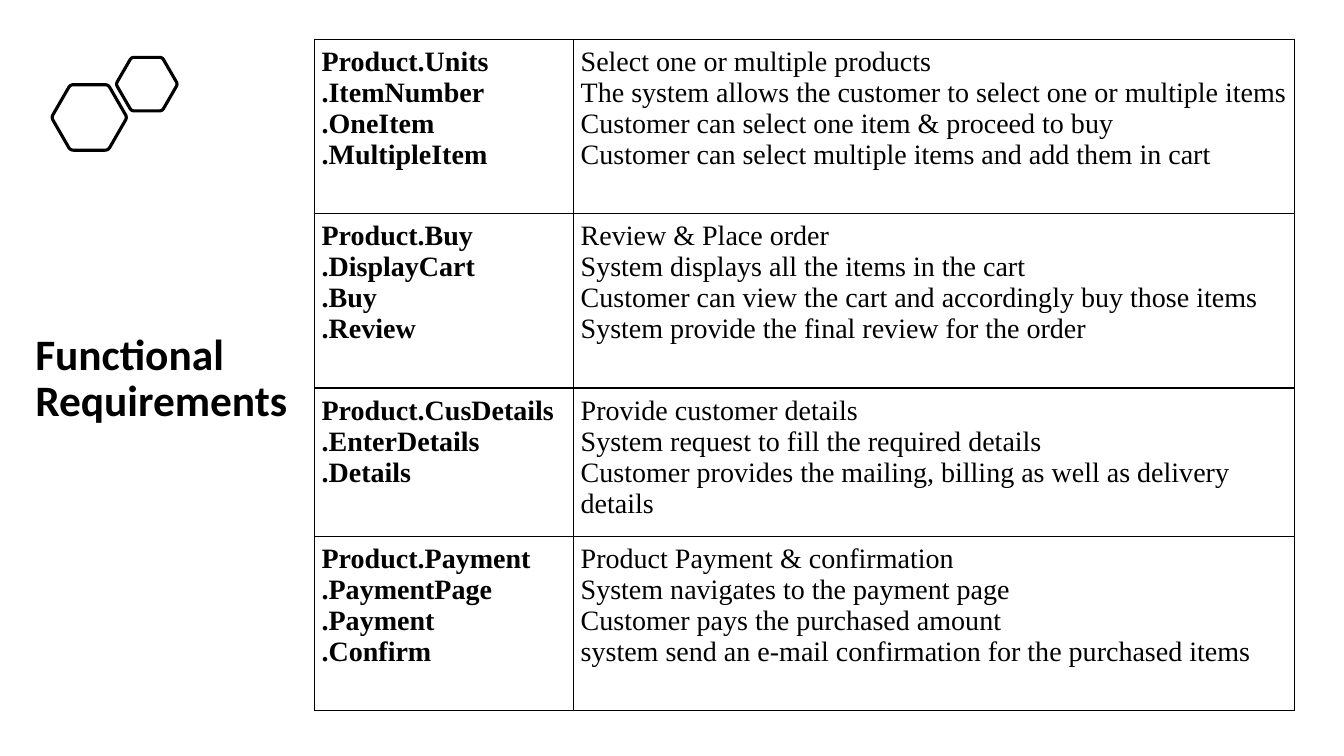
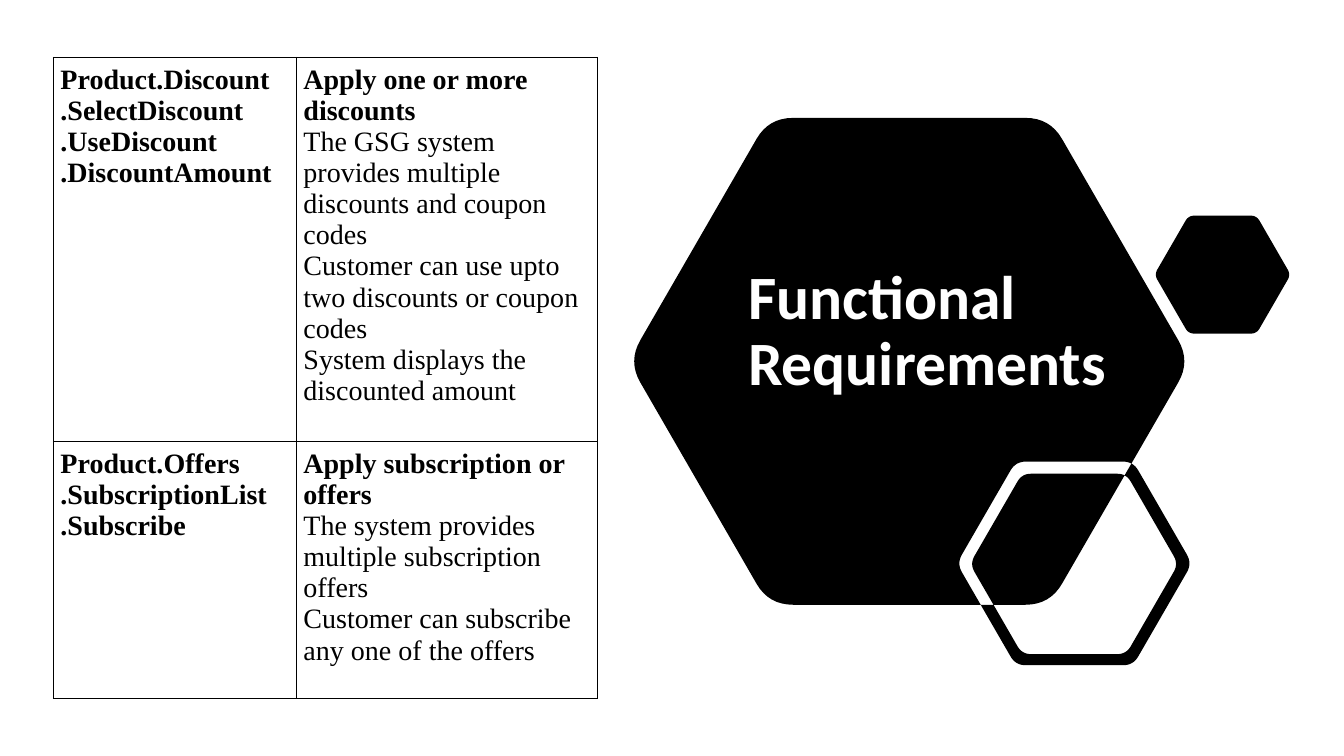
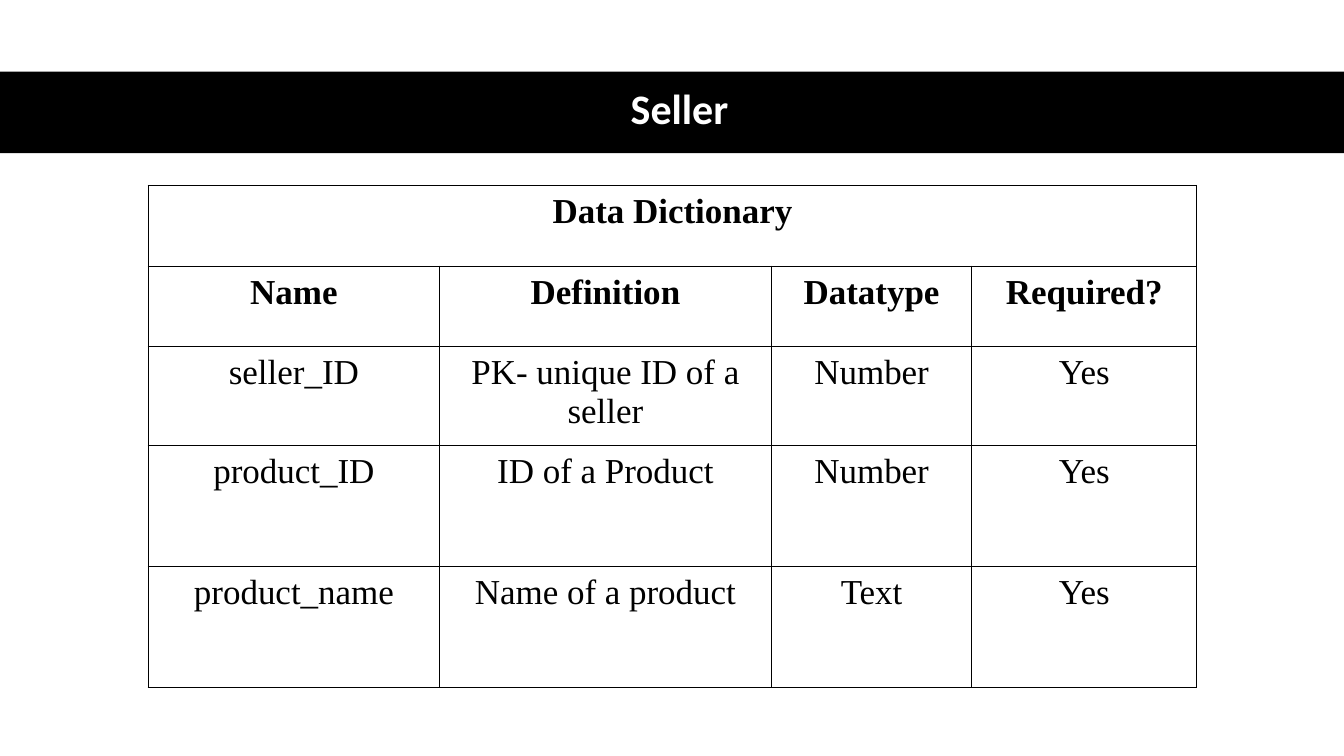
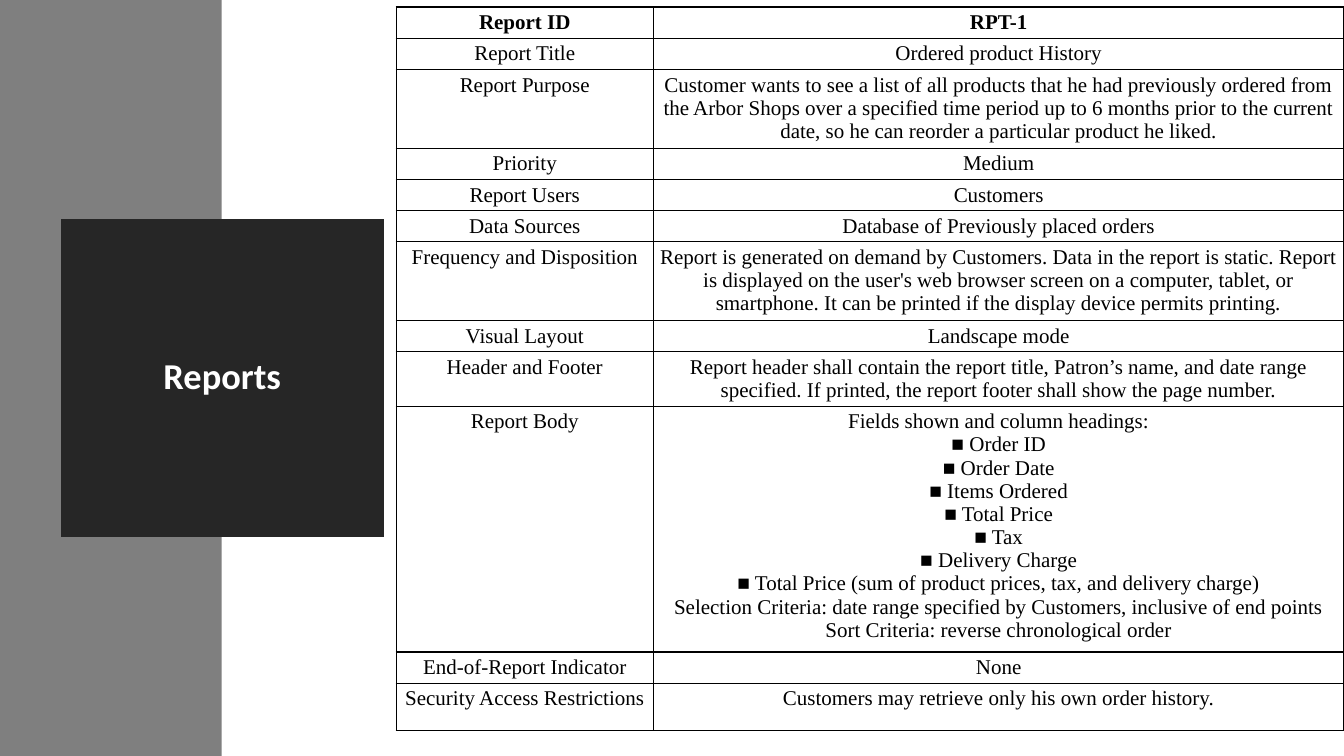
from math import sqrt

from lxml.etree import SubElement
from pptx import Presentation
from pptx.dml.color import RGBColor
from pptx.enum.shapes import MSO_SHAPE
from pptx.enum.text import MSO_ANCHOR as Anchor, MSO_AUTO_SIZE as AutoSize, PP_ALIGN as Align
from pptx.oxml.ns import qn
from pptx.util import Inches, Pt

COLORS = {"ink": "000000", "paper": "FFFFFF", "band": "7F7F7F", "panel": "262626"}
TITLE_FONT = "Calibri"
TABLE_FONT = "Times New Roman"

UNITS_TO_PAYMENT = [
    ["Product.Units\n.ItemNumber\n.OneItem\n.MultipleItem",
     "Select one or multiple products\n"
     "The system allows the customer to select one or multiple items\n"
     "Customer can select one item & proceed to buy\n"
     "Customer can select multiple items and add them in cart"],
    ["Product.Buy\n.DisplayCart\n.Buy\n.Review",
     "Review & Place order\n"
     "System displays all the items in the cart\n"
     "Customer can view the cart and accordingly buy those items\n"
     "System provide the final review for the order"],
    ["Product.CusDetails\n.EnterDetails\n.Details",
     "Provide customer details\n"
     "System request to fill the required details\n"
     "Customer provides the mailing, billing as well as delivery details"],
    ["Product.Payment\n.PaymentPage\n.Payment\n.Confirm",
     "Product Payment & confirmation\n"
     "System navigates to the payment page\n"
     "Customer pays the purchased amount\n"
     "system send an e-mail confirmation for the purchased items"],
]

DISCOUNTS_AND_OFFERS = [
    ["Product.Discount\n.SelectDiscount\n.UseDiscount\n.DiscountAmount",
     "Apply one or more discounts\n"
     "The GSG system provides multiple discounts and coupon codes\n"
     "Customer can use upto two discounts or coupon codes\n"
     "System displays the discounted amount"],
    ["Product.Offers\n.SubscriptionList\n.Subscribe",
     "Apply subscription or offers\n"
     "The system provides multiple subscription offers\n"
     "Customer can subscribe any one of the offers"],
]

SELLER_DICTIONARY = [
    ["Data Dictionary"],
    ["Name", "Definition", "Datatype", "Required?"],
    ["seller_ID", "PK- unique ID of a seller", "Number", "Yes"],
    ["product_ID", "ID of a Product", "Number", "Yes"],
    ["product_name", "Name of a product", "Text", "Yes"],
]

ORDER_REPORT = [
    ["Report ID", "RPT-1"],
    ["Report Title", "Ordered product History"],
    ["Report Purpose",
     "Customer wants to see a list of all products that he had previously ordered from "
     "the Arbor Shops over a specified time period up to 6 months prior to the current "
     "date, so he can reorder a particular product he liked."],
    ["Priority", "Medium"],
    ["Report Users", "Customers"],
    ["Data Sources", "Database of Previously placed orders"],
    ["Frequency and Disposition",
     "Report is generated on demand by Customers. Data in the report is static. Report "
     "is displayed on the user's web browser screen on a computer, tablet, or "
     "smartphone. It can be printed if the display device permits printing."],
    ["Visual Layout", "Landscape mode"],
    ["Header and Footer",
     "Report header shall contain the report title, Patron’s name, and date range "
     "specified. If printed, the report footer shall show the page number."],
    ["Report Body",
     "Fields shown and column headings:\n■ Order ID\n■ Order Date\n■ Items Ordered\n"
     "■ Total Price\n■ Tax\n■ Delivery Charge\n"
     "■ Total Price (sum of product prices, tax, and delivery charge)\n"
     "Selection Criteria: date range specified by Customers, inclusive of end points\n"
     "Sort Criteria: reverse chronological order"],
    ["End-of-Report Indicator", "None"],
    ["Security Access Restrictions", "Customers may retrieve only his own order history."],
]


def rgb(color):
    return RGBColor.from_string(COLORS[color])


def apply(target, **values):
    for name, value in values.items():
        setattr(target, name, value)


def place(shape, box):
    left, top, width, height = map(Inches, box)
    apply(shape, left=left, top=top, width=width, height=height)


def paint(shape, fill=None, line=None, line_width=1):
    if fill:
        shape.fill.solid()
        shape.fill.fore_color.rgb = rgb(fill)
    else:
        shape.fill.background()
    if line:
        shape.line.color.rgb = rgb(line)
        shape.line.width = Pt(line_width)
        SubElement(shape.element.spPr.find(qn("a:ln")), qn("a:miter"), lim="800000")
    else:
        shape.line.fill.background()


def send_to_back(shape):
    shape.shadow.inherit = False
    shape.element.getparent().insert(2, shape.element)


def set_title(slide, box, text, size, color, align=Align.LEFT, anchor=Anchor.BOTTOM):
    title = slide.shapes.title
    place(title, box)
    frame = title.text_frame
    frame.text = text
    apply(frame, word_wrap=True, auto_size=AutoSize.NONE, vertical_anchor=anchor)
    heading = frame.paragraphs[0]
    apply(heading, alignment=align, line_spacing=0.9)
    apply(heading.font, name=TITLE_FONT, size=Pt(size), bold=True)
    heading.font.color.rgb = rgb(color)
    return title


def add_band(slide, box, color):
    band = slide.shapes.add_shape(MSO_SHAPE.RECTANGLE, *map(Inches, box))
    paint(band, color)
    send_to_back(band)


def rounded_hexagon(left, top, height, steps=8):
    width = 2 * height / sqrt(3)
    side, cut = width / 2, 0.05 * height
    corners = [(left + width * x, top + height * y) for x, y in
               ((0.25, 0), (0.75, 0), (1, 0.5), (0.75, 1), (0.25, 1), (0, 0.5))]
    outline = []
    for i, corner in enumerate(corners):
        before, after = corners[i - 1], corners[(i + 1) % 6]
        start, end = ([c + (n - c) * cut / side for c, n in zip(corner, near)]
                      for near in (before, after))
        for step in range(steps + 1):
            t = step / steps
            outline.append(tuple(
                Inches((1 - t) ** 2 * s + 2 * t * (1 - t) * c + t ** 2 * e)
                for s, c, e in zip(start, corner, end)))
    return outline


def add_hexagons(slide, origin, hexagons, **style):
    outlines = [rounded_hexagon(origin[0] + x, origin[1] + y, height)
                for x, y, height in hexagons]
    builder = slide.shapes.build_freeform(*outlines[0][0], scale=1.0)
    for outline in outlines:
        if outline is not outlines[0]:
            builder.move_to(*outline[0])
        builder.add_line_segments(outline[1:], close=True)
    cluster = builder.convert_to_shape()
    paint(cluster, **style)
    send_to_back(cluster)


def add_borders(cell):
    properties = cell._tc.get_or_add_tcPr()
    for edge in ("lnL", "lnR", "lnT", "lnB"):
        line = SubElement(properties, qn(f"a:{edge}"), w=str(Pt(1)))
        SubElement(SubElement(line, qn("a:solidFill")), qn("a:srgbClr"), val=COLORS["ink"])


def add_grid(slide, origin, widths, heights, content, size, is_bold,
             inset=0.07, align=Align.LEFT):
    grid = slide.shapes.add_table(
        len(heights), len(widths),
        *map(Inches, (*origin, sum(widths), sum(heights)))).table
    apply(grid, first_row=False, horz_banding=False)
    for column, width in zip(grid.columns, widths):
        column.width = Inches(width)
    for row, height in zip(grid.rows, heights):
        row.height = Inches(height)
    for cell in grid.iter_cells():
        add_borders(cell)
        cell.fill.background()
        apply(cell, **{f"margin_{side}": Inches(inset)
                       for side in ("left", "right", "top", "bottom")})
    for r, texts in enumerate(content):
        if len(texts) < len(widths):
            grid.cell(r, 0).merge(grid.cell(r, len(widths) - 1))
        for c, text in enumerate(texts):
            frame = grid.cell(r, c).text_frame
            frame.text = text
            for p, entry in enumerate(frame.paragraphs):
                entry.alignment = align
                apply(entry.font, name=TABLE_FONT, size=Pt(size), bold=is_bold(r, c, p))
                entry.font.color.rgb = rgb("ink")


def build_units_slide(slide):
    set_title(slide, (0.25, 2.69, 2.77, 1.59), "Functional Requirements", 31, "ink")
    for hexagon in ((0, 0.27, 0.65), (0.64, 0, 0.53)):
        add_hexagons(slide, (0.51, 0.57), [hexagon], line="ink", line_width=2.25)
    add_grid(slide, (3.12, 0.39), [2.57, 7.15], [1.73, 1.73, 1.47, 1.73],
             UNITS_TO_PAYMENT, 20, lambda r, c, p: c == 0)


def build_discounts_slide(slide):
    set_title(slide, (7.32, 2.05, 3.77, 1.96), "Functional Requirements", 44, "paper")
    add_hexagons(slide, (6.23, 1.17),
                 [(0, 0, 4.83), (5.22, 0.97, 1.17), (3.26, 3.41, 2.02), (3.39, 3.53, 1.79)],
                 fill="ink")
    add_grid(slide, (0.53, 0.57), [2.41, 2.99], [3.81, 2.55],
             DISCOUNTS_AND_OFFERS, 20, lambda r, c, p: c == 0 or p == 0)


def build_seller_slide(slide):
    set_title(slide, (0.61, 0.7, 12.26, 0.81), "Seller", 30, "paper",
              Align.CENTER, Anchor.MIDDLE)
    add_band(slide, (0, 0.71, 13.33, 0.81), "ink")
    add_grid(slide, (1.47, 1.84), [2.89, 3.29, 1.99, 2.23], [0.8, 0.8, 0.98, 1.2, 1.2],
             SELLER_DICTIONARY, 25, lambda r, c, p: r < 2, align=Align.CENTER)


def build_reports_slide(slide):
    panel = set_title(slide, (0.7, 2.27, 3.01, 2.96), "Reports", 26, "paper",
                      Align.CENTER, Anchor.MIDDLE)
    paint(panel, "panel", "panel", 13.75)
    add_band(slide, (0, 0, 2.2, 7.5), "band")
    heights = [0.31, 0.31, 0.78, 0.31, 0.31, 0.31, 0.78, 0.31, 0.54, 2.44, 0.31, 0.47]
    add_grid(slide, (3.93, 0.07), [2.55, 6.85], heights, ORDER_REPORT, 15,
             lambda r, c, p: r == 0, inset=0.04, align=Align.CENTER)


def main():
    deck = Presentation()
    apply(deck, slide_width=Inches(13.33), slide_height=Inches(7.5))
    for build in (build_units_slide, build_discounts_slide,
                  build_seller_slide, build_reports_slide):
        build(deck.slides.add_slide(deck.slide_layouts[5]))
    deck.save("out.pptx")


if __name__ == "__main__":
    main()
